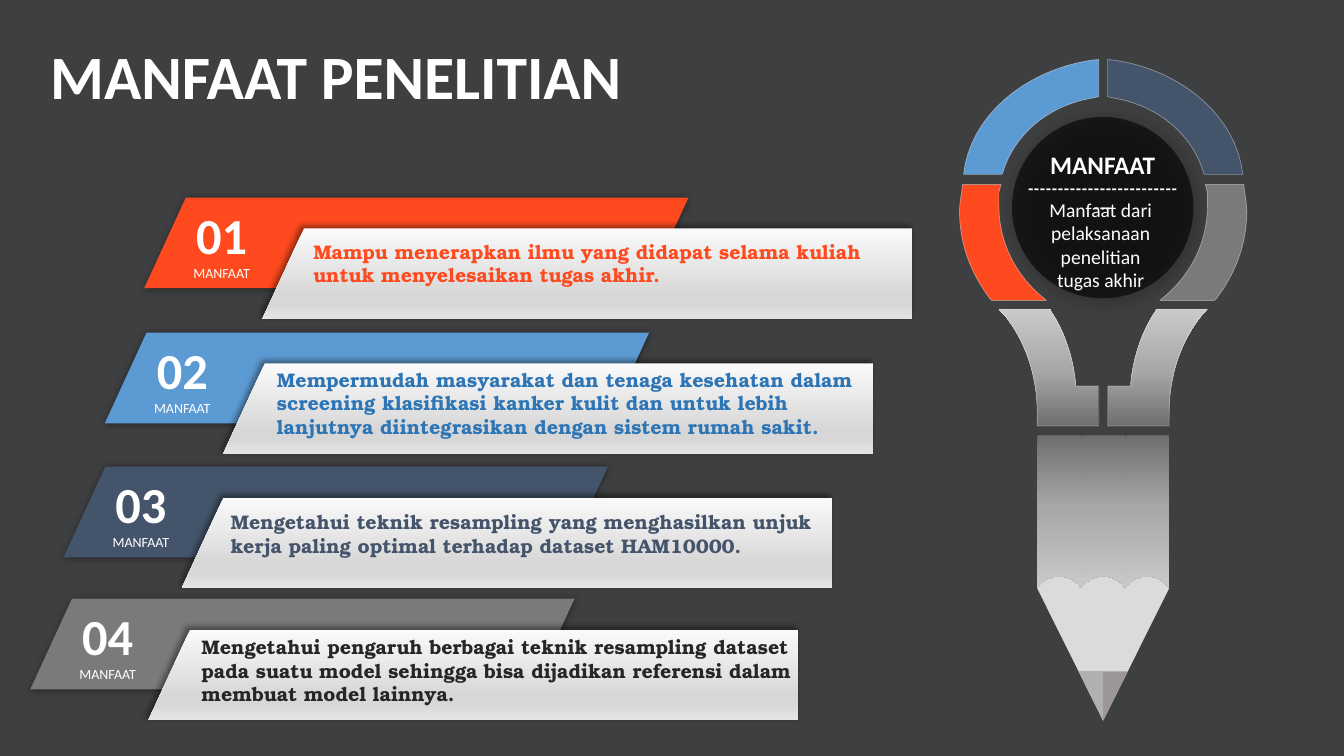
from pptx import Presentation
from pptx.dml.color import RGBColor
from pptx.enum.shapes import MSO_SHAPE as Shape
from pptx.enum.text import MSO_AUTO_SIZE as AutoSize, PP_ALIGN as Align
from pptx.oxml import parse_xml
from pptx.oxml.ns import nsdecls, qn
from pptx.util import Pt

# Content: number, text, bar colour, text colour, bar corner, text corner
BENEFITS = [
    ("01", "Mampu menerapkan ilmu yang didapat selama kuliah untuk menyelesaikan tugas akhir.",
     "FE4A1E", "FE4A1E", (103, 141.1), (216.7, 167.8)),
    ("02", "Mempermudah masyarakat dan tenaga kesehatan dalam screening klasifikasi kanker kulit "
     "dan untuk lebih lanjutnya diintegrasikan dengan sistem rumah sakit.",
     "5C9AD3", "2E75B6", (74.9, 237.6), (190.8, 259.2)),
    ("03", "Mengetahui teknik resampling yang menghasilkan unjuk kerja paling optimal "
     "terhadap dataset HAM10000.",
     "44546B", "44546B", (45.4, 333.4), (157.7, 360.7)),
    ("04", "Mengetahui pengaruh berbagai teknik resampling dataset pada suatu model sehingga "
     "bisa dijadikan referensi dalam membuat model lainnya.",
     "7A7A7A", "262626", (21.6, 427.7), (136.8, 450)),
]
METAL = [(0, "6F6F6F"), (48, "A8A8A8"), (100, "C9C9C9")]
PAPER = [(0, "FAFAFA"), (74, "D7D7D7"), (83, "D7D7D7"), (100, "E4E4E4")]
WHITE = "FFFFFF"

# Left half of the bulb: pairs are corners, sixes are Bezier curves
AXIS = 788
TOP_ARC = [(784.8, 42.5), (784.8, 69.1), (777.6, 70.6),
           (748.1, 76.3, 724.3, 96.5, 716.4, 123.1), (715.7, 124.6), (688.3, 124.6),
           (692.6, 84.2, 730.1, 51.1, 778.3, 43.2)]
SIDE_ARC = [(687.6, 131.8), (715, 131.8), (713.5, 137.5),
            (713.5, 140.4, 713.5, 144, 713.5, 146.9),
            (713.5, 173.5, 725.8, 197.3, 746.6, 213.8),
            (747.4, 214.6), (708.5, 214.6), (707, 213.1),
            (693.4, 195.1, 685.4, 174.2, 685.4, 151.2),
            (685.4, 146.2, 686.2, 141.8, 686.9, 137.5)]
NECK = [(713.5, 221), (750.2, 221), (750.2, 221.8),
        (759.6, 235.4, 766.1, 253.4, 768.2, 272.9), (768.2, 275.8),
        (784.8, 275.8), (784.8, 304.4), (740.9, 304.4), (740.9, 294.5),
        (740.9, 267.8, 732.2, 243.4, 717.8, 225.4)]
BULB = [(TOP_ARC, "5C9AD3", "44546B", 40), (SIDE_ARC, "FE4A1E", "7A7A7A", 40),
        (NECK, METAL, METAL, 35)]

presentation = Presentation()
presentation.slide_width, presentation.slide_height = Pt(960), Pt(540)
slide = presentation.slides.add_slide(presentation.slide_layouts[6])


def paint(color_format, color):
    color_format.rgb = RGBColor.from_string(color)


def set_alpha(element, percent):
    color = next(element.iter(qn("a:srgbClr")))
    color.append(parse_xml(f'<a:alpha {nsdecls("a")} val="{percent * 1000}"/>'))


def style(shape, fill, angle=90, line_alpha=None, shadow=None):
    """Fill is a colour or a list of stops; shadow is blur, distance, angle."""
    properties = shape._element.spPr
    if isinstance(fill, str):
        shape.fill.solid()
        paint(shape.fill.fore_color, fill)
    else:
        stops = "".join(f'<a:gs pos="{position * 1000}"><a:srgbClr val="{color}"/></a:gs>'
                        for position, color in fill)
        properties.find(qn("a:custGeom")).addnext(parse_xml(
            f'<a:gradFill {nsdecls("a")} rotWithShape="1"><a:gsLst>{stops}</a:gsLst>'
            f'<a:lin ang="{angle * 60000}" scaled="0"/></a:gradFill>'))
    if line_alpha:
        shape.line.width = Pt(0.5)
        paint(shape.line.color, WHITE)
        set_alpha(properties.find(qn("a:ln")), line_alpha)
    else:
        shape.line.fill.background()
    shape.shadow.inherit = False
    if shadow:
        blur, distance, direction = shadow
        properties.find(qn("a:effectLst")).append(parse_xml(
            f'<a:outerShdw {nsdecls("a")} blurRad="{Pt(blur)}" dist="{Pt(distance)}" '
            f'dir="{direction * 60000}" algn="ctr" rotWithShape="0"><a:srgbClr val="000000">'
            '<a:alpha val="40000"/></a:srgbClr></a:outerShdw>'))


def add_outline(outline, fill, **options):
    points = []
    for step in outline:
        if len(step) == 2:
            points.append(step)
            continue
        x0, y0 = points[-1]
        x1, y1, x2, y2, x3, y3 = step
        for t in (i / 16 for i in range(1, 17)):
            a, b, c, d = (1 - t) ** 3, 3 * t * (1 - t) ** 2, 3 * t * t * (1 - t), t ** 3
            points.append((a * x0 + b * x1 + c * x2 + d * x3,
                           a * y0 + b * y1 + c * y2 + d * y3))
    points = [(Pt(x), Pt(y)) for x, y in points]
    builder = slide.shapes.build_freeform(*points[0], scale=1.0)
    builder.add_line_segments(points[1:], close=True)
    style(builder.convert_to_shape(), fill, **options)


def mirror(outline):
    return [tuple(2 * AXIS - value if i % 2 == 0 else value for i, value in enumerate(step))
            for step in outline]


def add_text(left, top, width, height, lines, color=WHITE, align=Align.LEFT, inset=(7.2, 3.6)):
    """Each line is text, size, font, bold."""
    frame = slide.shapes.add_textbox(Pt(left), Pt(top), Pt(width), Pt(height)).text_frame
    frame.word_wrap = True
    frame.auto_size = AutoSize.SHAPE_TO_FIT_TEXT
    frame.margin_left = frame.margin_right = Pt(inset[0])
    frame.margin_top = frame.margin_bottom = Pt(inset[1])
    for i, (text, size, font, bold) in enumerate(lines):
        paragraph = frame.add_paragraph() if i else frame.paragraphs[0]
        paragraph.text = text
        paragraph.alignment = align
        paragraph.font.size, paragraph.font.name = Pt(size), font
        paragraph.font.bold = bold
        paint(paragraph.font.color, color)


# Background and title
slide.background.fill.solid()
paint(slide.background.fill.fore_color, "3E3F41")
add_text(28.8, 23.8, 468, 60.5, [("MANFAAT PENELITIAN", 44, "Calibri", True)])

# Dark disc with its caption
disc = slide.shapes.add_shape(Shape.OVAL, Pt(722.9), Pt(83.5), Pt(129.6), Pt(129.6))
style(disc, "000000", shadow=(15, 3, 45))
set_alpha(disc._element.spPr.find(qn("a:solidFill")), 60)
add_text(726.5, 103, 122.4, 49.7,
         [("MANFAAT", 18, "Calibri", True), ("-" * 28, 11, "Roboto", True)], align=Align.CENTER)
add_text(740.9, 137.5, 90.7, 74.9,
         [("Manfaat dari pelaksanaan penelitian tugas akhir", 14, "Calibri", False)],
         align=Align.CENTER)

# Bulb halves
for outline, left_fill, right_fill, alpha in BULB:
    add_outline(outline, left_fill, angle=270, line_alpha=alpha)
    add_outline(mirror(outline), right_fill, angle=270, line_alpha=alpha)

# Pencil: wood, lead, then three scalloped strips
TIP = (AXIS, 514.8)
add_outline([TIP, (741, 420.5), (741, 406), (835, 406), (835, 420.5)], "DCDADA")
add_outline([TIP, (770.4, 479.5), (805.6, 479.5)], "9B9797")
add_outline([TIP, (770.4, 479.5), (AXIS, 479.5)], "B1AFAF")
STRIP = 31.4
for i in range(3):
    left = 741 + i * STRIP
    right, middle = left + STRIP, left + STRIP / 2
    add_outline([(left, 311), (right, 311), (right, 419.8),
                 (right - 3.8, 414.7, right - 9.5, 411.8, middle, 411.8),
                 (left + 9.5, 411.8, left + 3.8, 414.7, left, 419.8)], METAL)

# Benefit rows: slanted bar, number, panel, text
HEIGHT, SLANT, BAR, PANEL = 64.8, 29.8, 388.8, 464.4
for number, text, bar_color, text_color, (x, y), (text_x, text_y) in BENEFITS:
    add_outline([(x + SLANT, y), (x + BAR, y), (x + BAR - SLANT, y + HEIGHT), (x, y + HEIGHT)],
                bar_color, shadow=(5, 0, 0))
    add_text(x + 28.3, y + 2.2, 54, 60.5,
             [(number, 36, "Calibri", True), ("MANFAAT", 10, "Calibri", False)],
             align=Align.CENTER, inset=(5, 2.2))
    left, top = x + 84.4, y + 22
    add_outline([(left + SLANT, top), (left + PANEL, top),
                 (left + PANEL, top + HEIGHT), (left, top + HEIGHT)],
                PAPER, shadow=(4, 3, 225))
    add_text(text_x, text_y, 437, 41, [(text, 14, "TeX Gyre Bonum", True)], text_color)

presentation.save("out.pptx")
